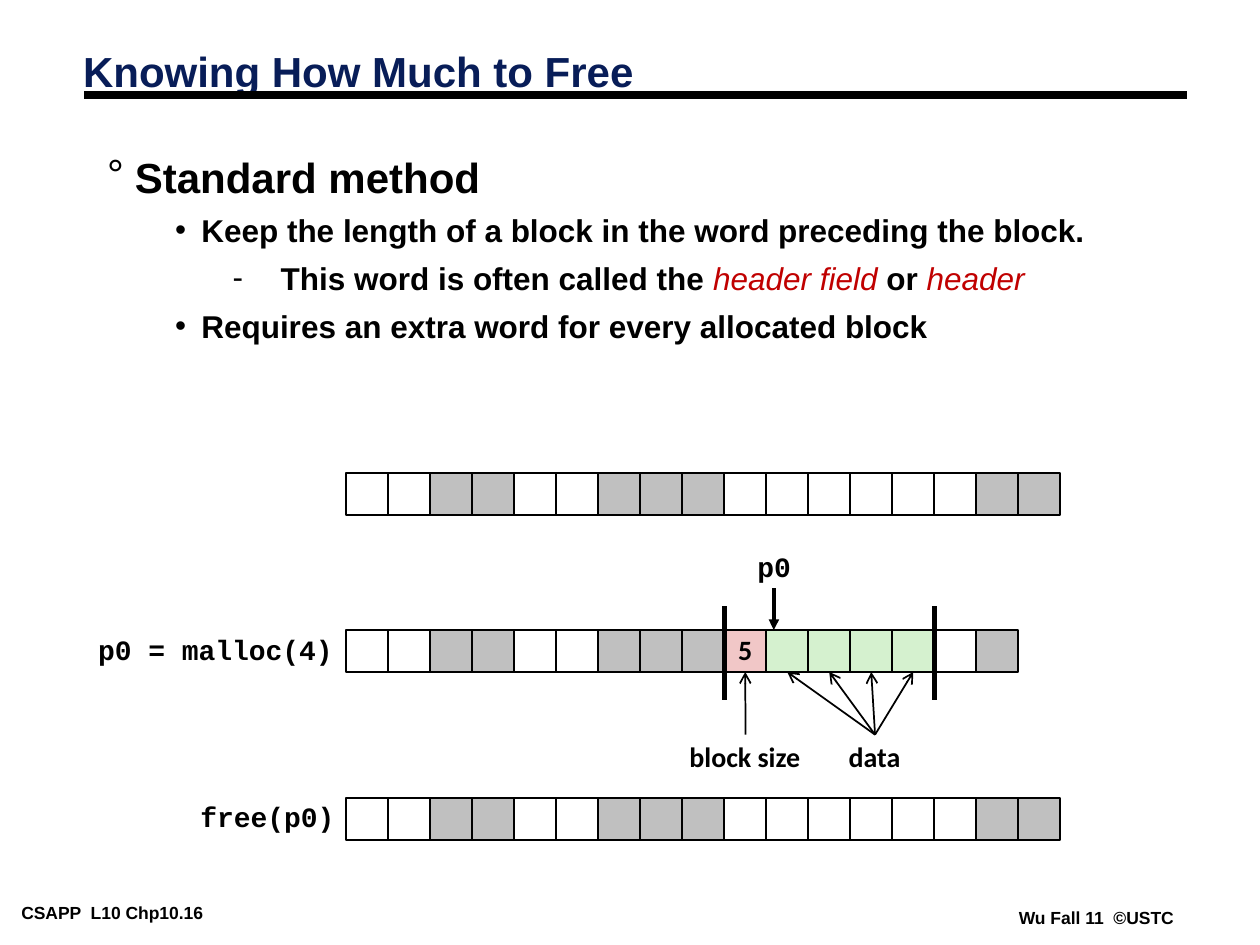
"""Build the slide on how free() knows the size of a block."""
from lxml.etree import SubElement
from pptx import Presentation
from pptx.dml.color import RGBColor
from pptx.enum.shapes import MSO_CONNECTOR, MSO_SHAPE
from pptx.enum.text import MSO_ANCHOR, MSO_AUTO_SIZE, PP_ALIGN
from pptx.oxml.ns import qn
from pptx.util import Cm, Pt

COLORS = {
    "black": "000000", "navy": "081D58", "red": "C00000", "free": "FFFFFF",
    "used": "C0C0C0", "header": "F1C7C7", "data": "D5F1CF",
}
KINDS = {"f": "free", "u": "used", "h": "header", "d": "data"}
CELL = 2.54 / 3
ROW_LEFT = 6.98
HEAP = "ffuuffuuuffffffuu"
HEAP_ALLOCATED = "ffuuffuuuhddddfu"
HEADER_INDEX = HEAP_ALLOCATED.index("h")
BLOCK_END = HEAP_ALLOCATED.rindex("d") + 1
ALLOCATED_TOP = 12.7

BULLETS = {0: ("°", 0.56, -0.56, 0.75), 1: ("•", 1.9, -0.53, 0.85), 2: ("-", 3.5, -0.97, 0.85)}
BODY = [
    (0, 24, [("Standard method", False)]),
    (1, 18, [("Keep the length of a block in the word preceding the block.", False)]),
    (2, 18, [("This word is often called the ", False), ("header field ", True),
             ("or ", False), ("header", True)]),
    (1, 18, [("Requires an extra word for every allocated block", False)]),
]


def rgb(name):
    """Return the named colour."""
    return RGBColor.from_string(COLORS[name])


def add_run(p, text, size, font="Arial", color="black", bold=True, italic=False):
    """Add one formatted run to a paragraph."""
    r = p.add_run()
    r.text = text
    r.font.name = font
    r.font.size = Pt(size)
    r.font.bold = bold
    r.font.italic = italic
    r.font.color.rgb = rgb(color)


def add_label(s, text, left, top, width, height, size=16, font="Courier New",
              spacing=0.94, inset=(0.25, 0.13)):
    """Add a single-line label and return its box."""
    sp = s.shapes.add_textbox(Cm(left), Cm(top), Cm(width), Cm(height))
    tf = sp.text_frame
    tf.word_wrap = False
    tf.auto_size = MSO_AUTO_SIZE.SHAPE_TO_FIT_TEXT
    tf.margin_left = tf.margin_right = Cm(inset[0])
    tf.margin_top = tf.margin_bottom = Cm(inset[1])
    p = tf.paragraphs[0]
    p.line_spacing = spacing
    add_run(p, text, size, font)
    return sp


def add_line(s, x1, y1, x2, y2, width, arrow=None):
    """Add a straight black line, with an arrowhead if one is named."""
    line = s.shapes.add_connector(MSO_CONNECTOR.STRAIGHT, Cm(x1), Cm(y1), Cm(x2), Cm(y2))
    line.line.color.rgb = rgb("black")
    line.line.width = Pt(width)
    if arrow:
        SubElement(line.line._get_or_add_ln(), qn("a:tailEnd"), type=arrow)
    SubElement(line._element.spPr, qn("a:effectLst"))
    return line


def point_at(s, label, cell):
    """Draw an arrow from the top of a label to the bottom of a cell."""
    line = add_line(s, 0, 0, 1, 1, 1, "arrow")
    line.begin_connect(label, 0)
    line.end_connect(cell, 2)


def add_heap(s, words, top):
    """Draw a row of memory words and return its cells."""
    cells = []
    for i, word in enumerate(words):
        sp = s.shapes.add_shape(MSO_SHAPE.RECTANGLE, Cm(ROW_LEFT + i * CELL), Cm(top),
                                Cm(CELL), Cm(CELL))
        sp.shadow.inherit = False
        sp.fill.solid()
        sp.fill.fore_color.rgb = rgb(KINDS[word])
        sp.line.color.rgb = rgb("black")
        sp.line.width = Pt(1)
        cells.append(sp)
    return cells


def add_title(s, text):
    """Place and format the title and the rule under it."""
    add_line(s, 1.7, 1.91, 23.93, 1.91, 4.5)
    sp = s.shapes.title
    sp.left, sp.top, sp.width, sp.height = Cm(1.42), Cm(0.93), Cm(21.08), Cm(1.14)
    tf = sp.text_frame
    tf.vertical_anchor = MSO_ANCHOR.MIDDLE
    p = tf.paragraphs[0]
    p.alignment = PP_ALIGN.LEFT
    p.line_spacing = 0.87
    add_run(p, text, 24, color="navy")


def add_body(s):
    """Add the bulleted text."""
    tf = s.shapes.add_textbox(Cm(1.91), Cm(3.16), Cm(21.8), Cm(6.15)).text_frame
    tf.word_wrap = True
    for i, (level, size, runs) in enumerate(BODY):
        p = tf.add_paragraph() if i else tf.paragraphs[0]
        char, margin, indent, spacing = BULLETS[level]
        p.level = level
        p.line_spacing = spacing
        p.space_before = Pt(9 if i else 0)
        pPr = p._p.get_or_add_pPr()
        pPr.set("marL", str(Cm(margin)))
        pPr.set("indent", str(Cm(indent)))
        color = SubElement(pPr, qn("a:buClr"))
        SubElement(color, qn("a:srgbClr"), val=COLORS["black"])
        SubElement(pPr, qn("a:buFont"), typeface="Arial")
        SubElement(pPr, qn("a:buChar"), char=char)
        for text, term in runs:
            add_run(p, text, size, color="red" if term else "black",
                    bold=not term, italic=term)


def add_allocated_block(s):
    """Draw the heap after malloc, with its header, pointer and notes."""
    cells = add_heap(s, HEAP_ALLOCATED, ALLOCATED_TOP)
    header = cells[HEADER_INDEX]
    tf = header.text_frame
    tf.word_wrap = False
    tf.vertical_anchor = MSO_ANCHOR.MIDDLE
    p = tf.paragraphs[0]
    p.alignment = PP_ALIGN.CENTER
    p.line_spacing = 0.98
    add_run(p, "5", 16, "Calibri")

    for i in (HEADER_INDEX, BLOCK_END):
        x = ROW_LEFT + i * CELL
        add_line(s, x, 12.22, x, 14.12, 3)

    add_label(s, "p0", 15.02, 11, 1.22, 0.89)
    add_line(s, 15.6, 11.86, 15.6, ALLOCATED_TOP, 2, "triangle")

    size_label = add_label(s, "block size", 13.65, 14.81, 2.76, 0.91, font="Calibri", spacing=0.98)
    data_label = add_label(s, "data", 16.86, 14.81, 1.56, 0.91, font="Calibri", spacing=0.98)
    point_at(s, size_label, header)
    for cell in cells[HEADER_INDEX + 1:BLOCK_END]:
        point_at(s, data_label, cell)


def main():
    """Build and save the slide."""
    prs = Presentation()
    prs.slide_width, prs.slide_height = Cm(25.4), Cm(19.05)
    s = prs.slides.add_slide(prs.slide_layouts[5])
    add_title(s, "Knowing How Much to Free")
    add_body(s)
    add_heap(s, HEAP, 9.53)
    add_label(s, "p0 = malloc(4)", 1.73, 12.67, 5.27, 0.89)
    add_allocated_block(s)
    add_label(s, "free(p0)", 3.79, 16.05, 3.26, 0.89)
    add_heap(s, HEAP, 16.09)
    add_label(s, "CSAPP  L10 Chp10.16", 0.25, 18.1, 5.33, 0.56, 10, "Arial", 1, (0.18, 0.08))
    add_label(s, "Wu Fall 11  ©USTC", 20.36, 18.21, 3.5, 0.56, 10, "Arial", 1, (0.18, 0.08))
    prs.save("out.pptx")


if __name__ == "__main__":
    main()
